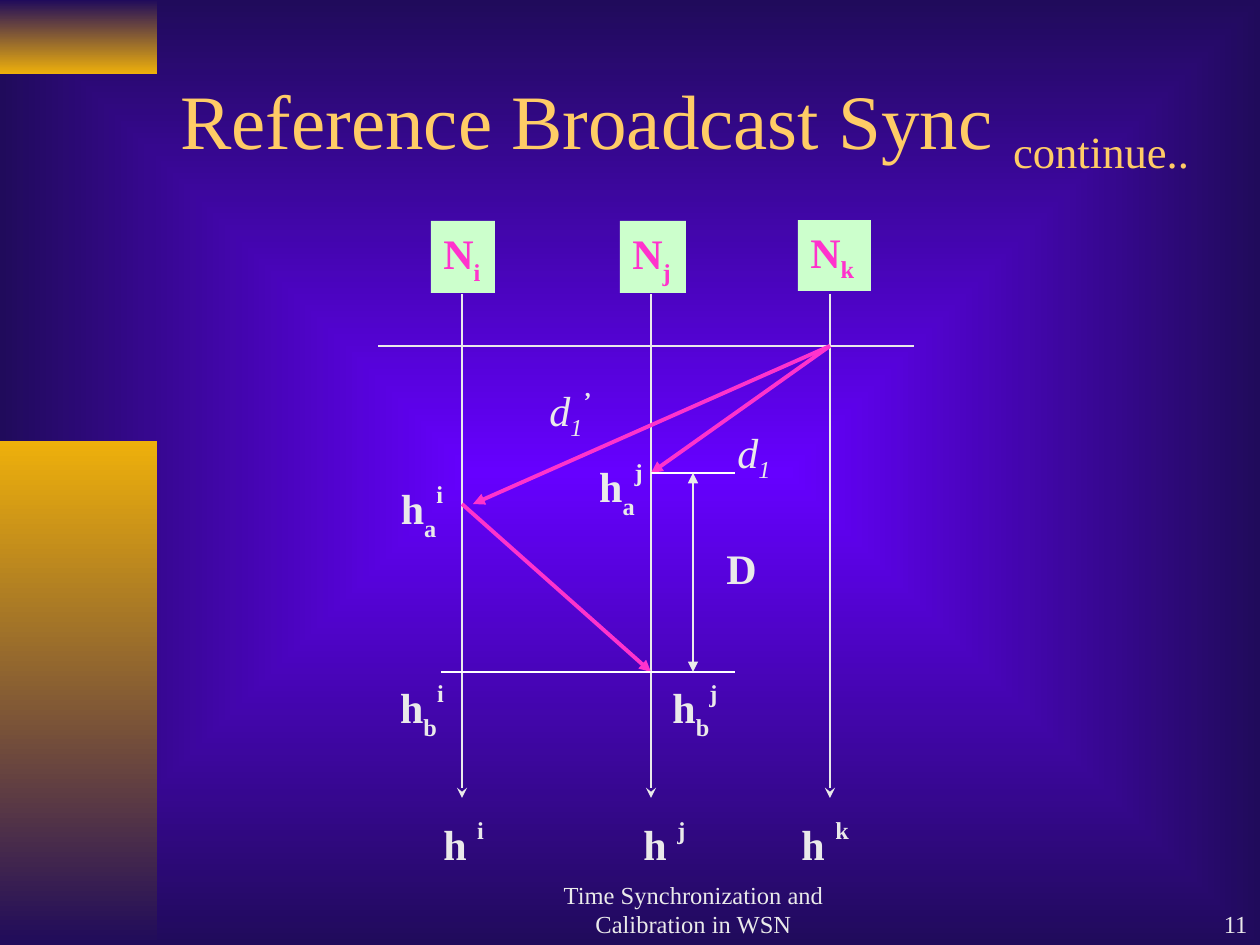
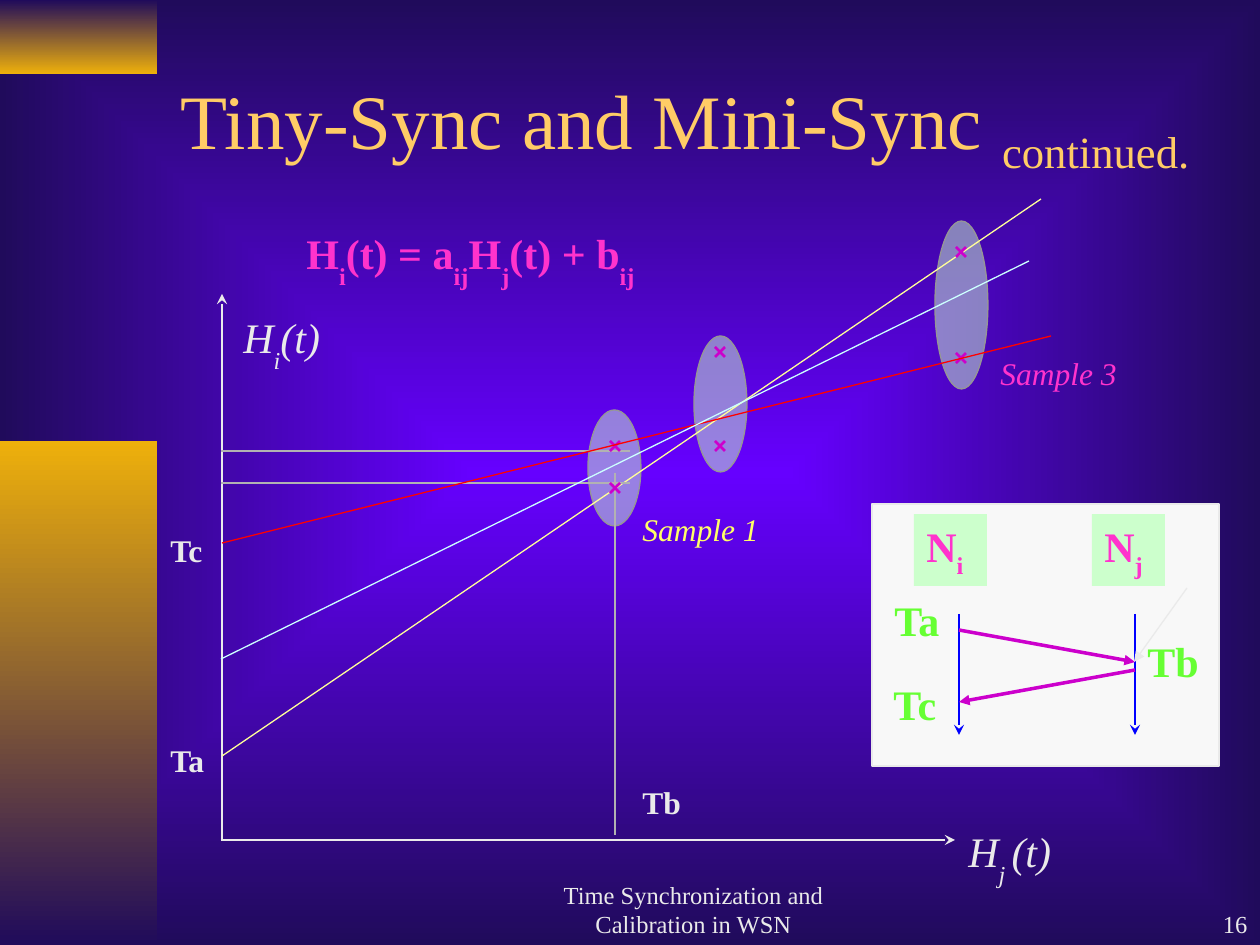
"""Build two slides on clock synchronisation in sensor networks."""
from lxml import etree
from pptx import Presentation
from pptx import util as u
from pptx.dml.color import RGBColor
from pptx.enum import shapes, text
from pptx.oxml import parse_xml
from pptx.oxml.ns import nsdecls, qn

COLORS = {
    "glow": "6600FF", "night": "200B5B", "gold": "EEB00B", "title": "FFCC66",
    "text": "EAEAEA", "white": "FFFFFF", "pink": "FF33CC", "mint": "CCFFCC",
    "grey": "969696", "silver": "B2B2B2", "purple": "CC00CC", "cream": "FFFF99",
    "yellow": "FFFF66", "red": "FF0000", "ice": "CCFFFF", "blue": "0000FF",
    "green": "66FF33", "paper": "F8F8F8",
}
FONT = "Times New Roman"
PIXEL = 914400 / 126
LEFT, CENTER, RIGHT = text.PP_ALIGN.LEFT, text.PP_ALIGN.CENTER, text.PP_ALIGN.RIGHT
TOP, MIDDLE, BOTTOM = text.MSO_ANCHOR.TOP, text.MSO_ANCHOR.MIDDLE, text.MSO_ANCHOR.BOTTOM
RECT, OVAL = shapes.MSO_SHAPE.RECTANGLE, shapes.MSO_SHAPE.OVAL


def px(*lengths):
    """Turn pixels into EMU."""
    return [u.Emu(round(length * PIXEL)) for length in lengths]


def rgb(name):
    """Look up a colour by name."""
    return RGBColor.from_string(COLORS[name])


class Deck:
    """Holds the shared style and the current slide."""

    def __init__(self):
        """Set the slide size and the master background."""
        self.prs = Presentation()
        self.prs.slide_width, self.prs.slide_height = px(1260, 945)
        self.slide = None
        master = self.prs.slide_master
        self.gradient(master.background.fill, "glow", "night")
        linear = master.element.xpath(".//p:bg//a:lin")[0]
        linear.getparent().replace(linear, parse_xml(
            f'<a:path {nsdecls("a")} path="rect">'
            '<a:fillToRect l="50000" t="50000" r="50000" b="50000"/></a:path>'))

    def gradient(self, fill, first, last):
        """Fill with two colours, from top to bottom."""
        fill.gradient()
        fill.gradient_angle = 270
        for stop, name in zip(fill.gradient_stops, (first, last)):
            stop.color.rgb = rgb(name)

    def add_bands(self):
        """Put the two gold side bands on the master."""
        tree = self.prs.slide_master.shapes.element
        bands = [(0, 74, "night", "gold"), (441, 504, "gold", "night")]
        for order, (top, height, first, last) in enumerate(bands):
            band = self.shape(RECT, 0, top, 157, height, "night")
            self.gradient(band.fill, first, last)
            band.element.nvSpPr.cNvPr.set("id", str(100 + order))
            tree.insert(2 + order, band.element)

    def new_slide(self, title, suffix, number):
        """Start a slide with its title, footer and number."""
        first = self.slide is None
        self.slide = self.prs.slides.add_slide(self.prs.slide_layouts[5])
        if first:
            self.add_bands()
        heading = self.slide.shapes.title
        heading.left, heading.top, heading.width, heading.height = px(168, 42, 1071, 166)
        self.put_text(heading, [title, (suffix, -25)], 44, "title", anchor=MIDDLE)
        self.label(494, 882, 399, 63, ["Time Synchronization and Calibration in WSN"],
                   size=14, align=CENTER, anchor=BOTTOM)
        self.label(998, 882, 262, 63, [number], size=14, align=RIGHT, anchor=BOTTOM)

    def put_text(self, holder, runs, size, color, bold=False, italic=False,
                 align=LEFT, anchor=TOP, wrap=True):
        """Fill in runs; a (text, percent) pair is raised or lowered."""
        frame = holder.text_frame
        frame.word_wrap = wrap
        frame.auto_size = text.MSO_AUTO_SIZE.NONE
        frame.vertical_anchor = anchor
        paragraph = frame.paragraphs[0]
        paragraph.alignment = align
        font = paragraph.font
        font.name, font.size, font.color.rgb = FONT, u.Pt(size), rgb(color)
        font.bold, font.italic = bold, italic
        for part in runs:
            words, baseline = (part, 0) if isinstance(part, str) else part
            run = paragraph.add_run()
            run.text = words
            if baseline:
                run._r.get_or_add_rPr().set("baseline", str(baseline * 1000))
        return paragraph

    def label(self, x, y, width, height, runs, size=24, color="text", **style):
        """Add a text box."""
        box = self.slide.shapes.add_textbox(*px(x, y, width, height))
        return self.put_text(box, runs, size, color, **style)

    def shape(self, kind, x, y, width, height, fill, outline=None, opacity=100):
        """Add a filled preset shape."""
        item = self.slide.shapes.add_shape(kind, *px(x, y, width, height))
        item.shadow.inherit = False
        item.fill.solid()
        item.fill.fore_color.rgb = rgb(fill)
        if opacity < 100:
            tint = item.element.xpath("./p:spPr/a:solidFill/a:srgbClr")[0]
            etree.SubElement(tint, qn("a:alpha")).set("val", str(opacity * 1000))
        if outline:
            item.line.color.rgb = rgb(outline)
            item.line.width = u.Pt(0.74)
        else:
            item.line.fill.background()
        return item

    def node(self, x, y, width, height, index, drop=-30):
        """Add a mint node box with a subscript."""
        box = self.shape(RECT, x, y, width, height, "mint")
        self.put_text(box, ["N", (index, drop)], 24, "pink", bold=True)

    def line(self, start, end, color="text", width=0.74, head=None, tail=None, parent=None):
        """Add a straight line with optional arrowheads."""
        home = parent or self.slide
        item = home.shapes.add_connector(shapes.MSO_CONNECTOR.STRAIGHT, *px(*start, *end))
        item.line.color.rgb = rgb(color)
        item.line.width = u.Pt(width)
        outline = item.element.xpath("./p:spPr/a:ln")[0]
        for tag, arrow in (("a:headEnd", head), ("a:tailEnd", tail)):
            if arrow:
                etree.SubElement(outline, qn(tag)).set("type", arrow)
        etree.SubElement(item.element.spPr, qn("a:effectLst"))

    def cross(self, x, y, arm=5):
        """Mark a point with a small grouped cross."""
        group = self.slide.shapes.add_group_shape()
        for rise in (arm, -arm):
            self.line((x - arm, y - rise), (x + arm, y + rise), "purple", 1.5, parent=group)


def reference_broadcast(deck):
    """Draw the message timeline of three nodes."""
    deck.new_slide("Reference Broadcast Sync ", "continue..", "11")
    node_i, node_j, node_k = 462, 651, 830
    sent, heard_j, heard_i, replied = 346, 473, 504, 672

    for x in (node_i, node_j, node_k):
        deck.line((x, 294), (x, 798), tail="stealth")
    deck.node(431, 221, 64, 72, "i")
    deck.node(620, 221, 66, 72, "j")
    deck.node(798, 220, 73, 71, "k", -25)
    for x, width, index in ((431, 66, "i"), (631, 67, "j"), (789, 72, "k")):
        deck.label(x, 809, width, 67, ["h ", (index, 50)], bold=True, wrap=False)

    deck.line((378, sent), (914, sent))
    for start, end in (((node_k, sent), (473, heard_i)),
                       ((node_k, sent), (node_j, heard_j)),
                       ((node_i, heard_i), (node_j, replied))):
        deck.line(start, end, "pink", 2.24, tail="triangle")
    for left, right, y in ((node_j, 735, heard_j), (node_j, 735, replied),
                           (441, node_j, replied)):
        deck.line((left, y), (right, y), "white", 0.99)
    deck.line((693, heard_j), (693, replied), width=0.99, head="triangle", tail="triangle")

    delay = deck.label(537, 378, 67, 71, ["d", ("1", -25), ("’", 40)],
                       italic=True, wrap=False)
    delay.runs[-1].font.bold = True
    deck.label(725, 420, 60, 71, ["d", ("1", -25)], italic=True)
    deck.label(714, 536, 55, 63, ["D"], bold=True, wrap=False)
    for x, y, event, index in ((378, 473, "a", "i"), (577, 451, "a", "j"),
                               (378, 672, "b", "i"), (651, 672, "b", "j")):
        deck.label(x, y, 88, 76, ["h", (event, -30), (index, 50)], bold=True, align=CENTER)


def tiny_sync(deck):
    """Draw the clock plot with its bounds and the message inset."""
    deck.new_slide("Tiny-Sync and Mini-Sync ", "continued.", "16")
    for x, y, height in ((588, 410, 116), (694, 336, 136), (935, 221, 168)):
        deck.shape(OVAL, x, y, 53, height, "mint", "grey", 50)

    deck.line((222, 840), (222, 294), tail="stealth")
    deck.line((221, 840), (955, 840), tail="stealth")
    deck.label(956, 819, 126, 77, ["H", ("j ", -40), "(t)"], italic=True)
    deck.label(231, 305, 108, 77, ["H", ("i", -40), "(t)"], italic=True)
    deck.label(294, 221, 378, 77,
               ["H", ("i", -40), "(t) = a", ("ij", -40), "H", ("j", -40),
                "(t) + b", ("ij", -40)], color="pink", bold=True)

    deck.line((1041, 199), (222, 756), "cream")
    for y in (451, 483):
        deck.line((221, y), (630, y), "silver")
    deck.line((615, 835), (615, 473), "silver")
    for x, low, high in ((961, 358, 252), (720, 446, 352), (615, 488, 446)):
        deck.cross(x, low)
        deck.cross(x, high)
    deck.line((1051, 336), (222, 543), "red")
    deck.line((1029, 261), (221, 659), "ice")

    for x, y, sample, color in ((630, 504, "Sample 1", "yellow"),
                                (988, 348, "Sample 3", "pink")):
        deck.label(x, y, 141, 50, [sample], 18, color, italic=True, wrap=False)
    for x, y, width, time in ((158, 735, 62, "Ta"), (158, 525, 60, "Tc"),
                              (630, 777, 63, "Tb")):
        deck.label(x, y, width, 50, [time], 18, bold=True, wrap=False)

    deck.shape(RECT, 872, 504, 347, 262, "paper", "text")
    node_i, node_j = 959, 1135
    for x in (node_i, node_j):
        deck.line((x, 614), (x, 735), "blue", tail="stealth")
    deck.line((node_i, 630), (node_j, 662), "purple", 2.01, tail="triangle")
    deck.line((node_j, 670), (node_i, 702), "purple", 2.01, tail="triangle")
    deck.node(914, 514, 73, 72, "i")
    deck.node(1092, 514, 73, 72, "j")
    for x, y, width, time in ((882, 588, 74, "Ta"), (881, 672, 72, "Tc"),
                              (1135, 629, 77, "Tb")):
        deck.label(x, y, width, 63, [time], color="green", bold=True, wrap=False)
    deck.line((1187, 588), (1134, 662), tail="triangle")


deck = Deck()
reference_broadcast(deck)
tiny_sync(deck)
deck.prs.save("out.pptx")
